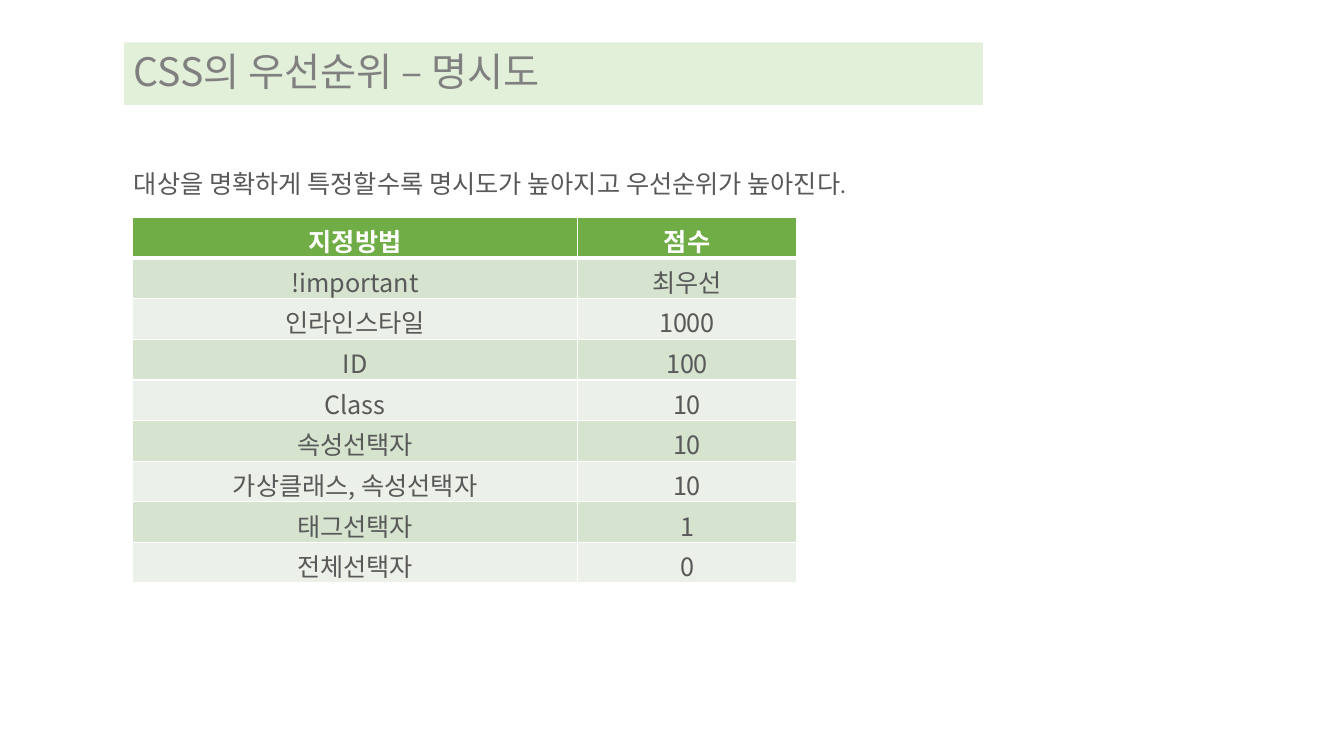
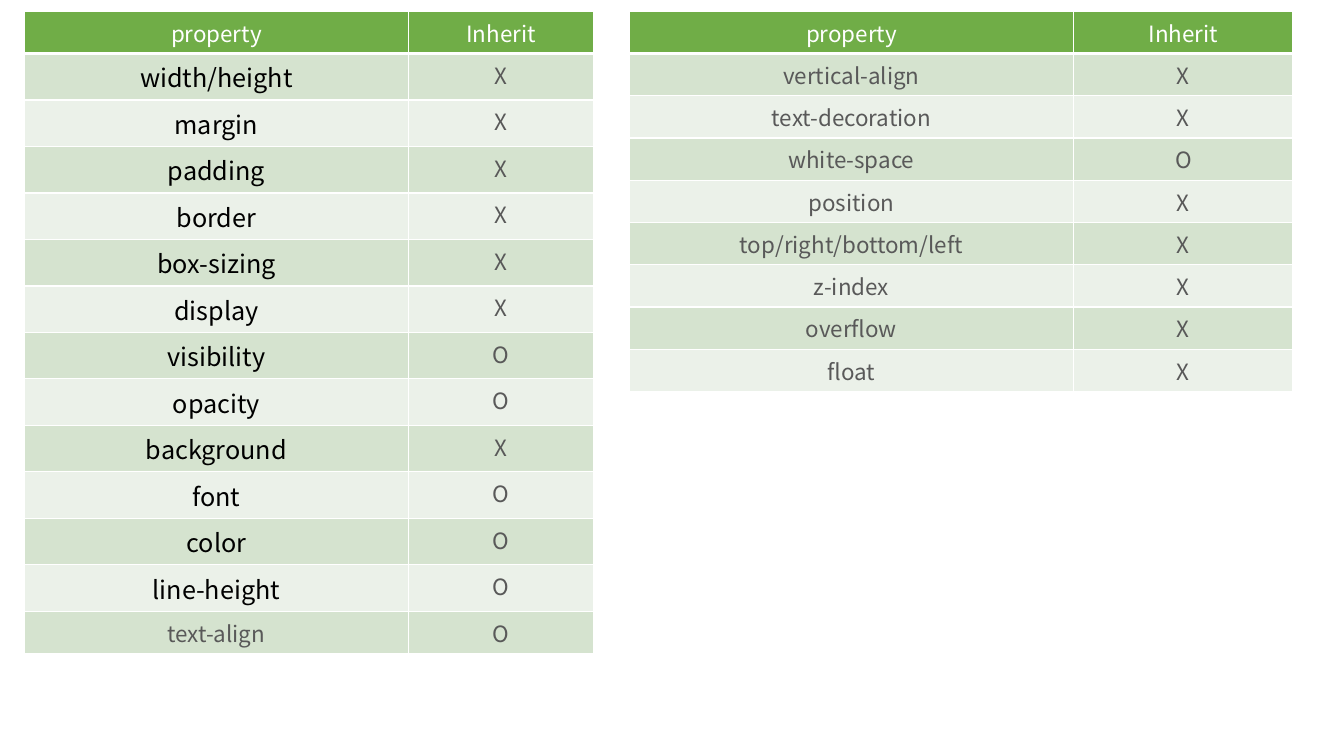
from lxml import etree
from pptx import Presentation
from pptx import util as u
from pptx.dml.color import RGBColor
from pptx.enum import shapes, text
from pptx.oxml.ns import qn

HUES = {"band": "E2F0D9", "title": "808080", "body": "595959", "black": "000000",
        "white": "FFFFFF", "head": "70AD47", "odd": "D5E3CF", "even": "EBF1E9"}
SANS, SERIF = "Noto Sans CJK KR", "Cambria"
TALL = 1.1  # height of a row with large text, in plain rows

deck = Presentation()
deck.slide_width, deck.slide_height = u.Inches(13.33), u.Inches(7.5)


def place(box):
    """Turn left, top, width, height in percent of the slide into lengths."""
    sides = (deck.slide_width, deck.slide_height) * 2
    return [int(side * part / 100) for side, part in zip(sides, box)]


def page():
    """Add a blank slide."""
    return deck.slides.add_slide(deck.slide_layouts[6])


def style(frame, size, hue, face=SANS, bold=False, east=None):
    """Format every run of a text frame; east names the Korean face."""
    for para in frame.paragraphs:
        for run in para.runs:
            font = run.font
            font.size, font.bold, font.name = u.Pt(size), bold, face
            font.color.rgb = RGBColor.from_string(HUES[hue])
            if east:
                etree.SubElement(run._r.get_or_add_rPr(), qn("a:ea"), typeface=east)


def title(slide, box, words):
    """Draw the pale title band with its words."""
    band = slide.shapes.add_shape(shapes.MSO_SHAPE.RECTANGLE, *place(box))
    band.shadow.inherit = False
    band.fill.solid()
    band.fill.fore_color.rgb = RGBColor.from_string(HUES["band"])
    band.line.fill.background()
    frame = band.text_frame
    frame.text = words
    frame.vertical_anchor = text.MSO_ANCHOR.MIDDLE
    frame.paragraphs[0].alignment = text.PP_ALIGN.LEFT
    frame.paragraphs[0].line_spacing = 0.9
    style(frame, 28, "title")


def note(slide, box, words):
    """Write one widely spaced line of body text."""
    frame = slide.shapes.add_textbox(*place(box)).text_frame
    frame.word_wrap = True
    frame.text = words
    frame.paragraphs[0].line_spacing = 2.5
    style(frame, 18, "body", SERIF)


def edges(cell, base):
    """Draw white borders round a cell, the bottom one base points wide."""
    props = cell._tc.get_or_add_tcPr()
    for spot, (side, wide) in enumerate(zip("LRTB", (1, 1, 1, base))):
        line = etree.Element(qn("a:ln" + side), w=str(u.Pt(wide)))
        fill = etree.SubElement(line, qn("a:solidFill"))
        etree.SubElement(fill, qn("a:srgbClr"), val=HUES["white"])
        props.insert(spot, line)


def grid(slide, box, rows, size, bold=False, large=(), split=0.67):
    """Draw a two-column banded table; first cells named in large stand out."""
    left, top, width, height = place(box)
    table = slide.shapes.add_table(len(rows), 2, left, top, width, height).table
    table.columns[0].width = int(width * split)
    table.columns[1].width = width - table.columns[0].width
    shares = [TALL if row[0] in large else 1 for row in rows]
    for i, row in enumerate(rows):
        table.rows[i].height = int(height * shares[i] / sum(shares))
        for j, words in enumerate(row):
            cell = table.cell(i, j)
            fill = "head" if i == 0 else "odd" if i % 2 else "even"
            cell.fill.solid()
            cell.fill.fore_color.rgb = RGBColor.from_string(HUES[fill])
            edges(cell, 1 if i else 3)
            cell.text_frame.text = words
            cell.text_frame.paragraphs[0].alignment = text.PP_ALIGN.CENTER
            if i == 0:
                style(cell.text_frame, size, "white", bold=bold, east=SANS)
            elif words in large:
                style(cell.text_frame, 18, "black", east=SANS)
            else:
                style(cell.text_frame, size, "body", east=SANS)
    table.cell(0, 1).vertical_anchor = text.MSO_ANCHOR.MIDDLE


def rank():
    """Build the slide on selector specificity."""
    slide = page()
    title(slide, (9.23, 5.6, 63.9, 8.27), "CSS의 우선순위 – 명시도")
    note(slide, (9.23, 15.6, 62.5, 9.73),
         "대상을 명확하게 특정할수록 명시도가 높아지고 우선순위가 높아진다.")
    scores = [("지정방법", "점수"), ("!important", "최우선"), ("인라인스타일", "1000"),
              ("ID", "100"), ("Class", "10"), ("속성선택자", "10"),
              ("가상클래스, 속성선택자", "10"), ("태그선택자", "1"), ("전체선택자", "0")]
    grid(slide, (9.87, 28.75, 49.4, 48.4), scores, 18, bold=True)


def inherit():
    """Build the slide on which properties inherit."""
    slide = page()
    head = ("property", "Inherit")
    main = [("width/height", "X"), ("margin", "X"), ("padding", "X"), ("border", "X"),
            ("box-sizing", "X"), ("display", "X"), ("visibility", "O"),
            ("opacity", "O"), ("background", "X"), ("font", "O"), ("color", "O"),
            ("line-height", "O")]
    rest = [("vertical-align", "X"), ("text-decoration", "X"), ("white-space", "O"),
            ("position", "X"), ("top/right/bottom/left", "X"), ("z-index", "X"),
            ("overflow", "X"), ("float", "X")]
    grid(slide, (1.83, 1.5, 42.35, 84.95), [head, *main, ("text-align", "O")], 16,
         large=[name for name, mark in main], split=0.674)
    grid(slide, (46.8, 1.5, 49.4, 50.3), [head, *rest], 16)


rank()
inherit()
deck.save("out.pptx")
